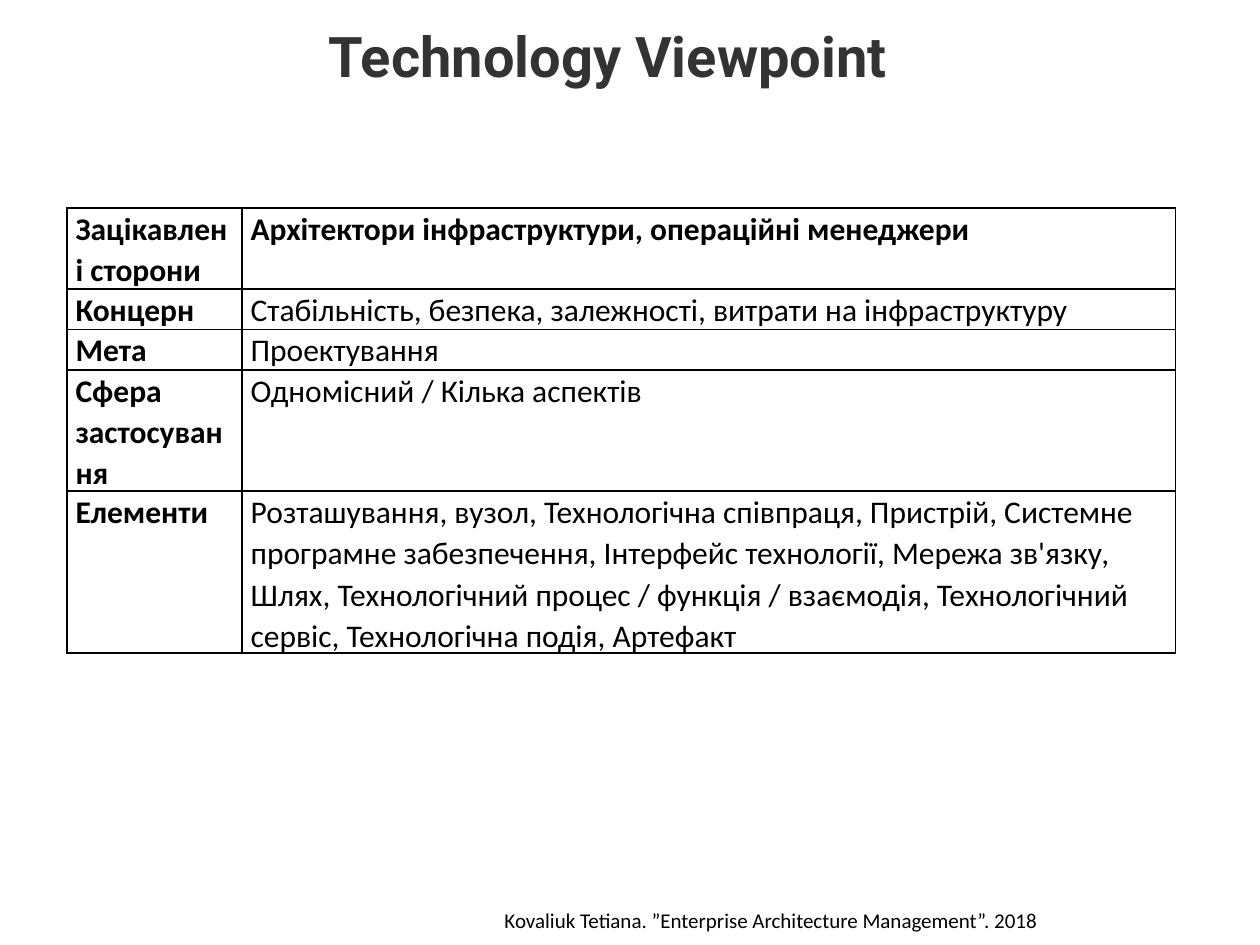
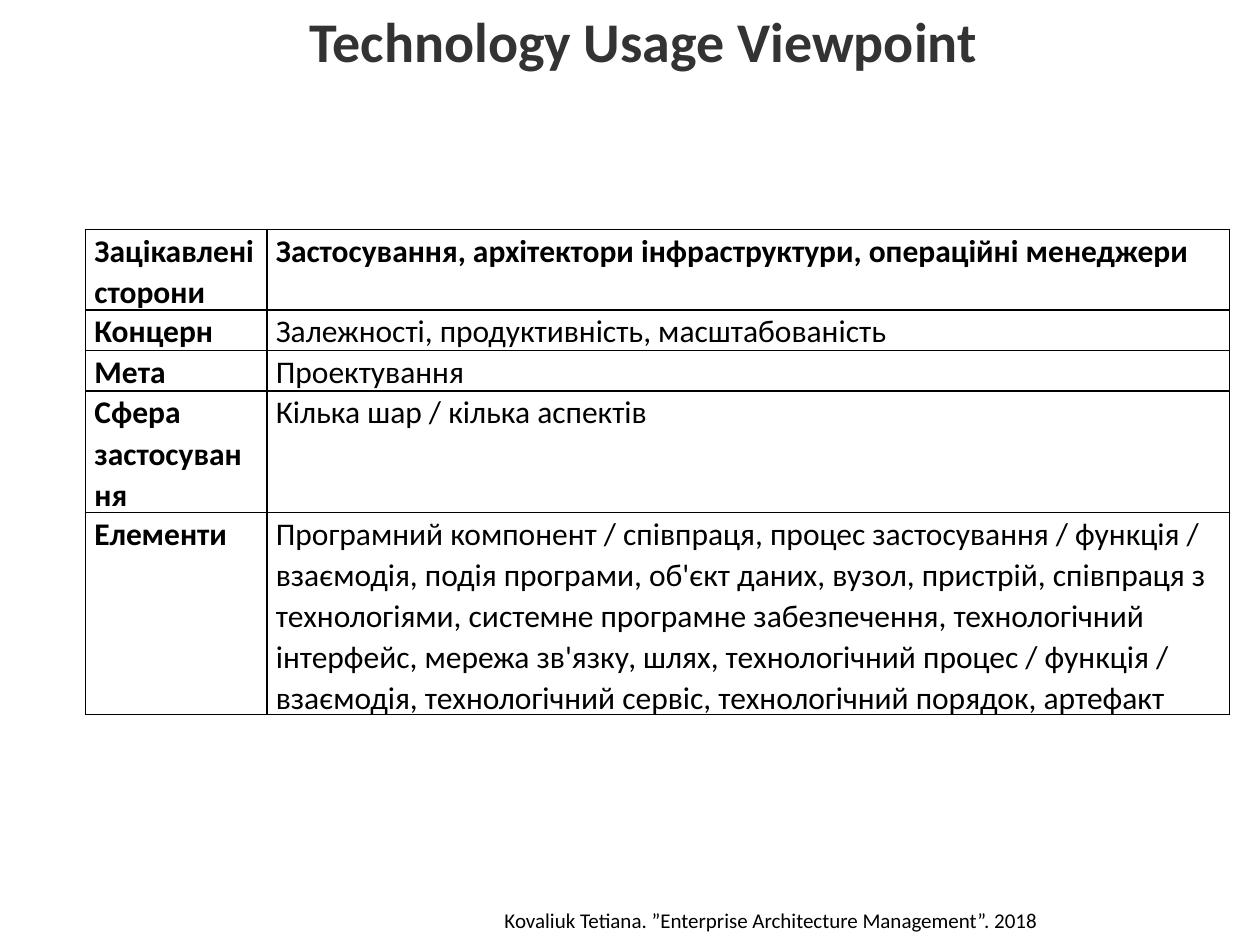
"""Build two slides that describe the technology viewpoints as tables."""
from dataclasses import dataclass

from lxml.etree import SubElement
from pptx import Presentation
from pptx.dml.color import RGBColor
from pptx.enum.text import MSO_AUTO_SIZE, PP_ALIGN
from pptx.oxml.ns import qn
from pptx.util import Inches, Pt


@dataclass(frozen=True)
class Theme:
    """Colours, fonts and sizes shared by the slides."""
    text: str = "000000"
    title: str = "333333"
    font: str = "Calibri"
    title_size: int = 32
    table_size: int = 18
    footer_size: int = 12
    border: int = 1
    line_spacing: float = 1.07
    row_line: float = 0.32
    cell_inset: float = 0.07


THEME = Theme()
FOOTER = "Kovaliuk Tetiana. ”Enterprise Architecture Management”. 2018"
FOOTER_BOX = (2.24, 7.15, 7.76, 0.3)
LABELS = ["Зацікавлені сторони", "Концерн", "Мета", "Сфера застосування", "Елементи"]

SLIDES = [
    {
        "title": "Technology Viewpoint",
        "title_font": "Roboto",
        "title_box": (2.51, 0.12, 4.91, 0.64),
        "table_at": (0.53, 1.65),
        "cols": (1.39, 7.41),
        "row_lines": (2, 1, 1, 3, 4),
        "values": [
            "Архітектори інфраструктури, операційні менеджери",
            "Стабільність, безпека, залежності, витрати на інфраструктуру",
            "Проектування",
            "Одномісний / Кілька аспектів",
            "Розташування, вузол, Технологічна співпраця, Пристрій, Системне "
            "програмне забезпечення, Інтерфейс технології, Мережа зв'язку, "
            "Шлях, Технологічний процес / функція / взаємодія, Технологічний "
            "сервіс, Технологічна подія, Артефакт",
        ],
    },
    {
        "title": "Technology Usage Viewpoint",
        "title_font": "Calibri",
        "title_box": (2.36, 0, 5.55, 0.64),
        "table_at": (0.68, 1.82),
        "cols": (1.44, 7.64),
        "row_lines": (2, 1, 1, 3, 5),
        "values": [
            "Застосування, архітектори інфраструктури, операційні менеджери",
            "Залежності, продуктивність, масштабованість",
            "Проектування",
            "Кілька шар / кілька аспектів",
            "Програмний компонент / співпраця, процес застосування / функція / "
            "взаємодія, подія програми, об'єкт даних, вузол, пристрій, співпраця з "
            "технологіями, системне програмне забезпечення, технологічний "
            "інтерфейс, мережа зв'язку, шлях, технологічний процес / функція / "
            "взаємодія, технологічний сервіс, технологічний порядок, артефакт",
        ],
    },
]


def write(tf, text, size, font=THEME.font, color=THEME.text, bold=False,
          align=PP_ALIGN.LEFT, spacing=None):
    """Put one formatted paragraph in a text frame."""
    p = tf.paragraphs[0]
    p.alignment = align
    p.line_spacing = spacing
    r = p.add_run()
    r.text = text
    r.font.name = font
    r.font.size = Pt(size)
    r.font.bold = bold
    r.font.color.rgb = RGBColor.from_string(color)


def add_text(s, box, text, size, wrap=True, **fmt):
    """Add a text box that grows with its text."""
    tf = s.shapes.add_textbox(*map(Inches, box)).text_frame
    tf.word_wrap = wrap
    tf.auto_size = MSO_AUTO_SIZE.SHAPE_TO_FIT_TEXT
    write(tf, text, size, **fmt)


def outline(cell):
    """Draw a solid border on the four sides of a cell and clear its fill."""
    tc_pr = cell._tc.get_or_add_tcPr()
    for side in ("lnL", "lnR", "lnT", "lnB"):
        ln = SubElement(tc_pr, qn(f"a:{side}"), w=str(Pt(THEME.border)))
        fill = SubElement(ln, qn("a:solidFill"))
        SubElement(fill, qn("a:srgbClr"), val=THEME.text)
    cell.fill.background()


def add_viewpoint_table(s, at, cols, row_lines, values):
    """Add the table of labels and values, with rows sized by line count."""
    heights = [n * THEME.row_line for n in row_lines]
    box = (*at, sum(cols), sum(heights))
    table = s.shapes.add_table(len(LABELS), len(cols), *map(Inches, box)).table
    table.first_row = table.horz_banding = False
    for col, width in zip(table.columns, cols):
        col.width = Inches(width)
    for i, pair in enumerate(zip(LABELS, values)):
        table.rows[i].height = Inches(heights[i])
        for j, text in enumerate(pair):
            cell = table.cell(i, j)
            cell.margin_left = cell.margin_right = Inches(THEME.cell_inset)
            cell.margin_top = cell.margin_bottom = 0
            outline(cell)
            write(cell.text_frame, text, THEME.table_size,
                  bold=i == 0 or j == 0, spacing=THEME.line_spacing)


def main():
    """Build and save the presentation."""
    prs = Presentation()
    prs.slide_width, prs.slide_height = Inches(10), Inches(7.5)
    for item in SLIDES:
        s = prs.slides.add_slide(prs.slide_layouts[6])
        add_text(s, FOOTER_BOX, FOOTER, THEME.footer_size, align=PP_ALIGN.CENTER)
        add_text(s, item["title_box"], item["title"], THEME.title_size, wrap=False,
                 font=item["title_font"], color=THEME.title, bold=True)
        add_viewpoint_table(s, item["table_at"], item["cols"],
                            item["row_lines"], item["values"])
    prs.save("out.pptx")


if __name__ == "__main__":
    main()
